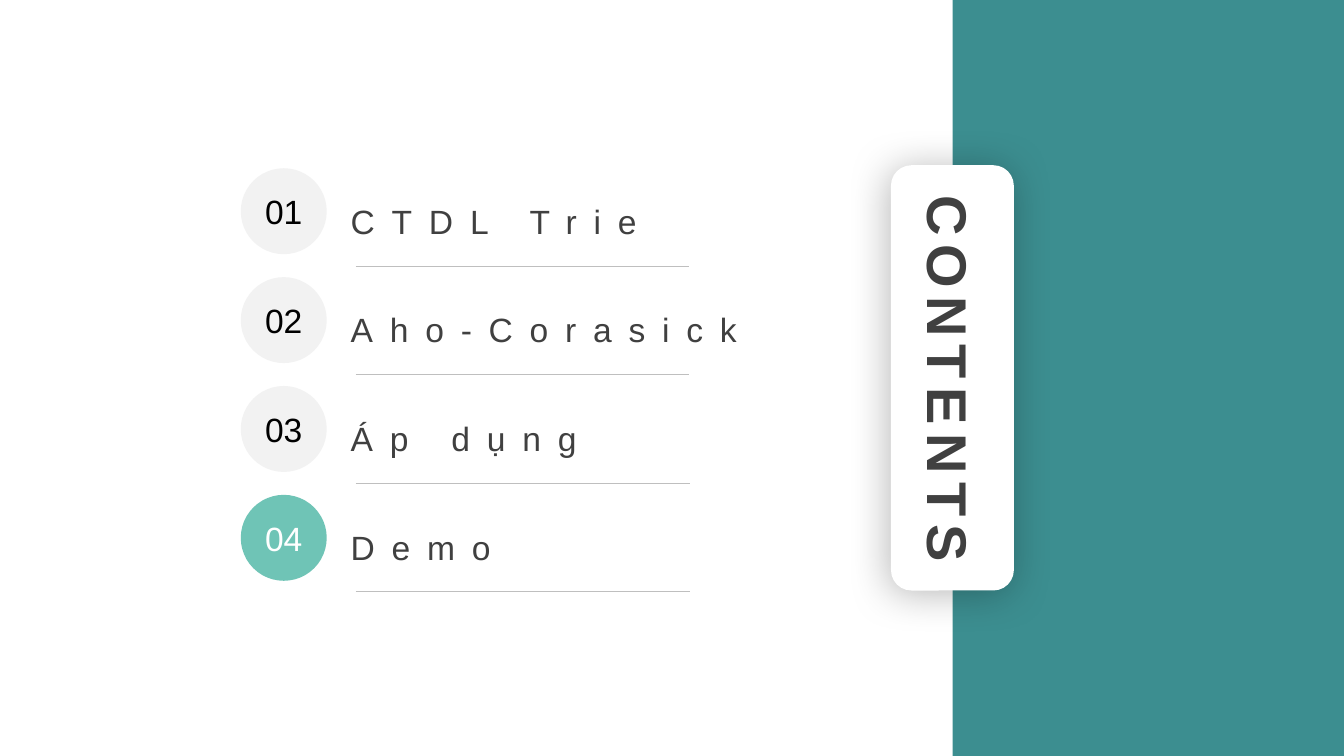
from lxml import etree
from pptx import Presentation
from pptx.dml.color import RGBColor
from pptx.enum import shapes as kinds, text as txt
from pptx.oxml import ns
from pptx.util import Pt

FONT = "Arial"
DARK = "404040"
ROW_PITCH = 77.76
# number, topic, circle fill, number colour, end of rule
TOPICS = [
    ("01", "CTDL Trie", "F2F2F2", "000000", 492),
    ("02", "Aho-Corasick", "F2F2F2", "000000", 492.5),
    ("03", "Áp dụng", "F2F2F2", "000000", 493.2),
    ("04", "Demo", "6FC4B6", "FFFFFF", 493.2),
]


def rgb(value):
    return RGBColor.from_string(value)


def add_block(slide, kind, left, top, width, height, fill):
    """Add a filled shape without outline or shadow."""
    block = slide.shapes.add_shape(kind, Pt(left), Pt(top), Pt(width), Pt(height))
    block.shadow.inherit = False
    block.fill.solid()
    block.fill.fore_color.rgb = rgb(fill)
    block.line.fill.background()
    return block


def style(paragraph, size, color, spacing=0, bold=False):
    """Format a paragraph; spacing is the gap between letters in points."""
    font = paragraph.font
    font.name, font.size, font.bold = FONT, Pt(size), bold
    font.color.rgb = rgb(color)
    if spacing:
        for run in paragraph.runs:
            run.font._element.set("spc", str(spacing * 100))


def add_soft_shadow(card):
    effects = card._element.spPr.find(ns.qn("a:effectLst"))
    shadow = etree.SubElement(
        effects, ns.qn("a:outerShdw"), blurRad=str(Pt(29)), dist=str(Pt(3)),
        dir=str(135 * 60000), sy="105000", algn="t", rotWithShape="0")
    color = etree.SubElement(shadow, ns.qn("a:srgbClr"), val="000000")
    etree.SubElement(color, ns.qn("a:alpha"), val="27000")


def place_title(slide):
    title = slide.shapes.title
    title.left, title.top, title.width, title.height = Pt(646.5), Pt(136), Pt(63.4), Pt(277.2)
    frame = title.text_frame
    frame.text = "CONTENTS"
    frame.auto_size = txt.MSO_AUTO_SIZE.NONE
    frame.vertical_anchor = txt.MSO_ANCHOR.MIDDLE
    frame._txBody.bodyPr.set("vert", "eaVert")
    heading = frame.paragraphs[0]
    heading.alignment = txt.PP_ALIGN.CENTER
    style(heading, 40, DARK, spacing=6, bold=True)
    title._element.getparent().append(title._element)  # in front of the card


def add_number(slide, number, top, fill, color):
    circle = add_block(slide, kinds.MSO_SHAPE.OVAL, 172, top, 61.4, 61.4, fill)
    frame = circle.text_frame
    frame.text = number
    frame.vertical_anchor = txt.MSO_ANCHOR.MIDDLE
    frame.paragraphs[0].alignment = txt.PP_ALIGN.CENTER
    style(frame.paragraphs[0], 24, color)


def add_topic(slide, topic, top):
    label = slide.shapes.add_textbox(Pt(243.4), Pt(top), Pt(315), Pt(36))
    frame = label.text_frame
    frame.word_wrap = True
    frame.text = topic
    frame.paragraphs[0].line_spacing = 1.2
    style(frame.paragraphs[0], 24, DARK, spacing=12)


def add_rule(slide, y, end):
    rule = slide.shapes.add_connector(
        kinds.MSO_CONNECTOR.STRAIGHT, Pt(254.2), Pt(y), Pt(end), Pt(y))
    rule.line.color.rgb = rgb("BFBFBF")
    rule.line.width = Pt(0.25)
    etree.SubElement(rule._element.spPr, ns.qn("a:effectLst"))


def main():
    deck = Presentation()
    deck.slide_width, deck.slide_height = Pt(960), Pt(540)
    slide = deck.slides.add_slide(deck.slide_layouts.get_by_name("Title Only"))

    add_block(slide, kinds.MSO_SHAPE.RECTANGLE, 680.4, 0, 279.6, 540, "3C8E90")
    card = add_block(slide, kinds.MSO_SHAPE.ROUNDED_RECTANGLE, 636.4, 118, 87.8, 303.8, "FFFFFF")
    add_soft_shadow(card)
    place_title(slide)

    for row, (number, topic, fill, color, rule_end) in enumerate(TOPICS):
        top = 120.2 + row * ROW_PITCH
        add_number(slide, number, top, fill, color)
        add_topic(slide, topic, top + 13.7)
        add_rule(slide, 190 + row * 77.5, rule_end)

    deck.save("out.pptx")


if __name__ == "__main__":
    main()
